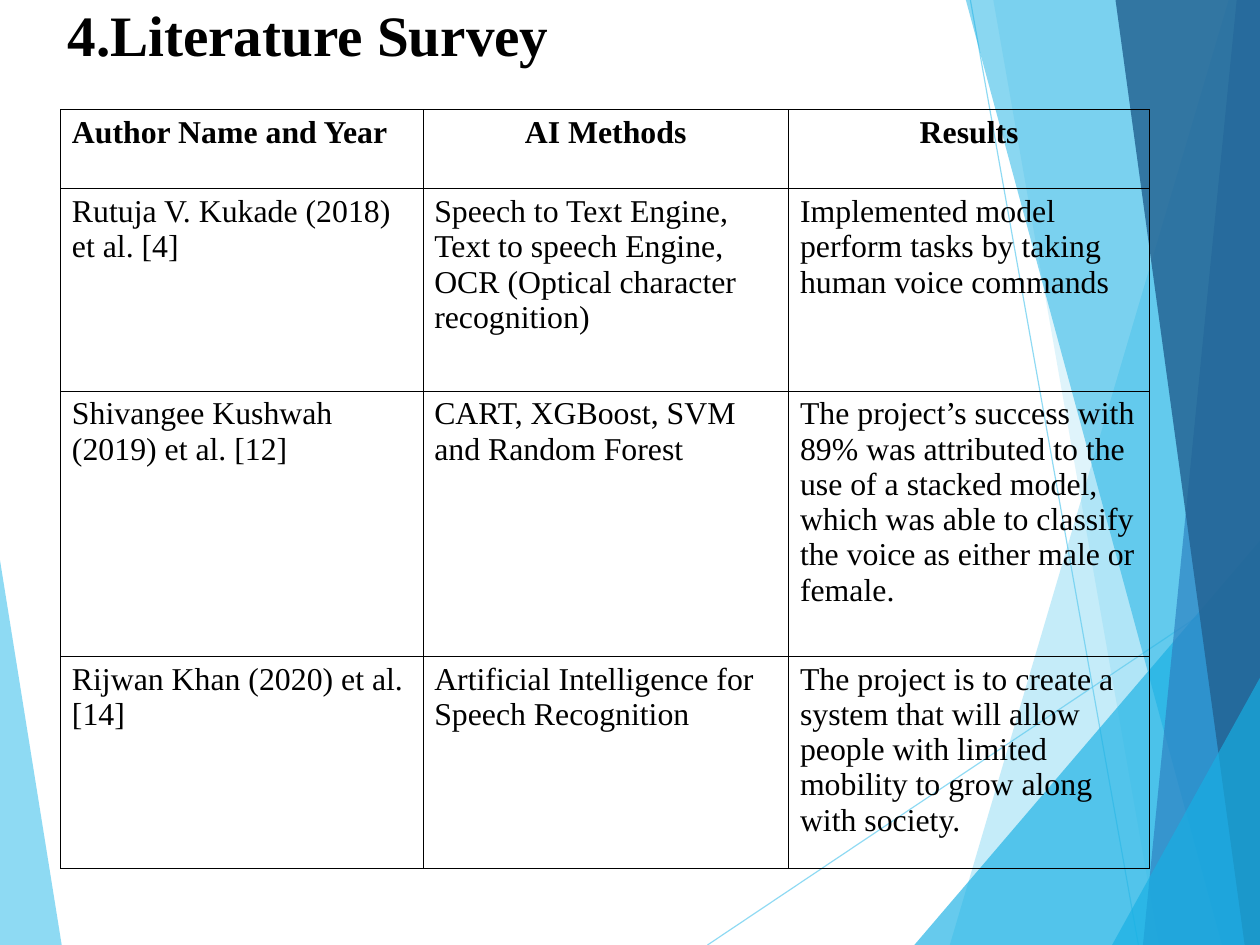
from lxml import etree
from pptx import Presentation
from pptx import util as u
from pptx.dml.color import RGBColor
from pptx.enum import shapes, text
from pptx.oxml.ns import qn

# The page measures 28 by 21 cm
PAGE_WIDTH, PAGE_HEIGHT = u.Cm(28), u.Cm(21)
WIDTH, HEIGHT = PAGE_WIDTH.inches, PAGE_HEIGHT.inches
FONT = "Times New Roman"
COLORS = {
    "ink": "000000",
    "sky": "5FCBEF",
    "cyan": "17B0E4",
    "blue": "2E83C3",
    "navy": "236292",
}

# Facets from back to front: color, opacity in percent, corners
LEFT_FACET = ("sky", 70, [(0, 4.9), (0.54, HEIGHT), (0, HEIGHT)])
RIGHT_FACETS = [
    ("sky", 36, [(10.75, 0), (8.31, HEIGHT), (WIDTH, HEIGHT), (WIDTH, 0)]),
    ("sky", 20, [(8.69, 0), (10.14, HEIGHT), (WIDTH, HEIGHT), (WIDTH, 0)]),
    ("cyan", 66, [(8, HEIGHT), (WIDTH, 4.73), (WIDTH, HEIGHT)]),
    ("cyan", 50, [(8.45, 0), (10.69, HEIGHT), (WIDTH, HEIGHT), (WIDTH, 0)]),
    ("blue", 70, [(10.82, 0), (10, HEIGHT), (WIDTH, HEIGHT), (WIDTH, 0)]),
    ("navy", 82, [(9.76, 0), (10.89, HEIGHT), (WIDTH, HEIGHT), (WIDTH, 0)]),
    ("cyan", 66, [(9.73, HEIGHT), (WIDTH, 5.93), (WIDTH, HEIGHT)]),
]
RAYS = [((6.19, HEIGHT), (WIDTH, 5.03)), ((8.49, 0), (9.96, HEIGHT))]

COLUMNS = [3.17, 3.2, 3.16]
ROWS = [0.69, 1.77, 2.32, 1.86]
SURVEY = [
    ["Author Name and Year", "AI Methods", "Results"],
    ["Rutuja V. Kukade (2018) et al. [4]",
     "Speech to Text Engine, Text to speech Engine, "
     "OCR (Optical character recognition)",
     "Implemented model perform tasks by taking human voice commands"],
    ["Shivangee Kushwah (2019) et al. [12]",
     "CART, XGBoost, SVM and Random Forest",
     "The project’s success with 89% was attributed to the use of a stacked "
     "model, which was able to classify the voice as either male or female."],
    ["Rijwan Khan (2020) et al. [14]",
     "Artificial Intelligence for Speech Recognition",
     "The project is to create a system that will allow people with limited "
     "mobility to grow along with society."],
]


def write(frame, words, size=20, bold=False, align=text.PP_ALIGN.LEFT, spacing=None):
    para = frame.paragraphs[0]
    para.alignment = align
    para.line_spacing = spacing
    span = para.add_run()
    span.text = words
    span.font.name = FONT
    span.font.size = u.Pt(size)
    span.font.bold = bold
    span.font.color.rgb = RGBColor.from_string(COLORS["ink"])


class SlideBuilder:
    def __init__(self, page):
        self.page = page

    def paint(self, fill, color, opacity, element):
        fill.solid()
        fill.fore_color.rgb = RGBColor.from_string(COLORS[color])
        for tint in element.iter(qn("a:srgbClr")):
            etree.SubElement(tint, qn("a:alpha"), val=str(opacity * 1000))

    def facet(self, color, opacity, corners):
        points = [(u.Inches(x), u.Inches(y)) for x, y in corners]
        builder = self.page.shapes.build_freeform(*points[0])
        builder.add_line_segments(points[1:], close=True)
        shape = builder.convert_to_shape()
        shape.shadow.inherit = False
        shape.line.fill.background()
        self.paint(shape.fill, color, opacity, shape.element.spPr)

    def ray(self, start, end):
        ends = [u.Inches(value) for value in (*start, *end)]
        connector = self.page.shapes.add_connector(shapes.MSO_CONNECTOR.STRAIGHT, *ends)
        connector.line.width = u.Pt(0.75)
        properties = connector.element.spPr
        self.paint(connector.line.fill, "sky", 70, properties)
        etree.SubElement(properties, qn("a:effectLst"))

    def title(self, words, left, top, width, height):
        box = self.page.shapes.add_textbox(*map(u.Inches, (left, top, width, height)))
        frame = box.text_frame
        frame.word_wrap = True
        frame.vertical_anchor = text.MSO_ANCHOR.MIDDLE
        frame.margin_left = frame.margin_right = frame.margin_bottom = 0
        frame.margin_top = u.Inches(0.03)
        write(frame, words, size=36, bold=True, spacing=0.93)

    def table(self, left, top, columns, rows, content):
        size = (left, top, sum(columns), sum(rows))
        table = self.page.shapes.add_table(
            len(rows), len(columns), *map(u.Inches, size)).table
        table.horz_banding = False
        for column, width in zip(table.columns, columns):
            column.width = u.Inches(width)
        for row, height in zip(table.rows, rows):
            row.height = u.Inches(height)
        for r, line in enumerate(content):
            for c, words in enumerate(line):
                cell = table.cell(r, c)
                centered = r == 0 and c > 0
                align = text.PP_ALIGN.CENTER if centered else text.PP_ALIGN.LEFT
                write(cell.text_frame, words, bold=r == 0, align=align)
                self.border(cell)
                cell.fill.background()

    def border(self, cell):
        properties = cell._tc.get_or_add_tcPr()
        for side in ("lnL", "lnR", "lnT", "lnB"):
            edge = etree.SubElement(properties, qn(f"a:{side}"), w=str(u.Pt(0.45)))
            fill = etree.SubElement(edge, qn("a:solidFill"))
            etree.SubElement(fill, qn("a:srgbClr"), val=COLORS["ink"])


def main():
    deck = Presentation()
    deck.slide_width, deck.slide_height = PAGE_WIDTH, PAGE_HEIGHT
    slide = SlideBuilder(deck.slides.add_slide(deck.slide_layouts[6]))

    # Faceted background
    slide.facet(*LEFT_FACET)
    for start, end in RAYS:
        slide.ray(start, end)
    for facet in RIGHT_FACETS:
        slide.facet(*facet)

    # Heading and survey table
    slide.title("4.Literature Survey", 0.59, -0.24, 9.92, 1.1)
    slide.table(0.53, 0.96, COLUMNS, ROWS, SURVEY)

    deck.save("out.pptx")


if __name__ == "__main__":
    main()
